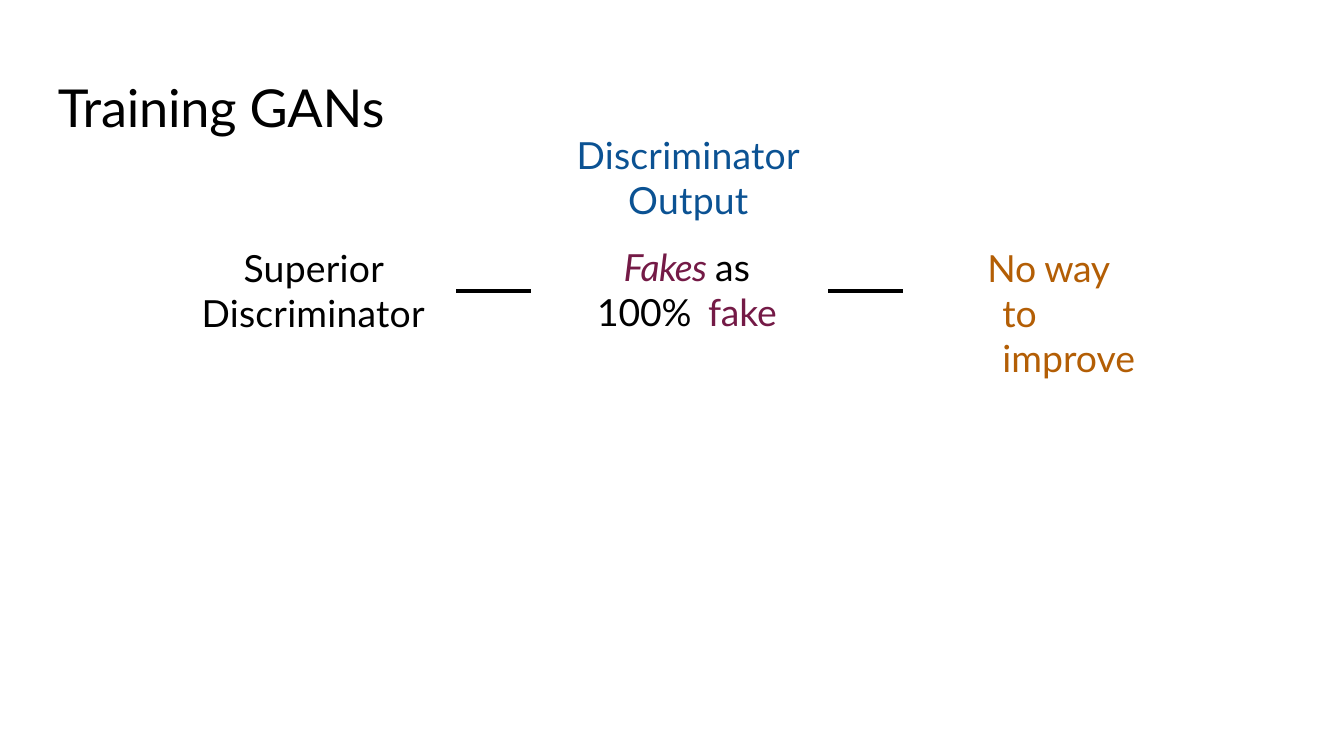
from lxml.etree import SubElement
from pptx import Presentation
from pptx.dml.color import RGBColor
from pptx.enum.shapes import MSO_CONNECTOR as Connector
from pptx.enum.text import PP_ALIGN as Align
from pptx.oxml.ns import qn
from pptx.util import Pt

FONT = "Lato"
BLACK, BLUE, PLUM, ORANGE = "000000", "0B5293", "741A46", "B35E05"


def color(hex_value):
    return RGBColor.from_string(hex_value)


def add_box(slide, left, top, width, height):
    """Add a wrapping text frame with almost no insets."""
    frame = slide.shapes.add_textbox(Pt(left), Pt(top), Pt(width), Pt(height)).text_frame
    frame.word_wrap = True
    frame.margin_left = frame.margin_right = frame.margin_bottom = 0
    frame.margin_top = Pt(1)
    return frame


def format_paragraph(paragraph, align=Align.LEFT, margin=0.5, indent=0, before=1):
    paragraph.alignment = align
    paragraph.space_before = Pt(before)
    properties = paragraph._p.get_or_add_pPr()
    properties.set("marL", str(Pt(margin)))
    properties.set("indent", str(Pt(indent)))


def add_text(paragraph, text, size=20, fill=BLACK, italic=False, spacing=0.0):
    """Add text to a paragraph; each newline becomes a line break."""
    for number, line in enumerate(text.split("\n")):
        if number:
            paragraph.add_line_break()
        if not line:
            continue
        run = paragraph.add_run()
        run.text = line
        run.font.name = FONT
        run.font.size = Pt(size)
        run.font.italic = italic
        run.font.color.rgb = color(fill)
        run._r.get_or_add_rPr().set("spc", str(round(spacing * 100)))


def add_link(slide, left, y, length):
    link = slide.shapes.add_connector(
        Connector.STRAIGHT, Pt(left), Pt(y), Pt(left + length), Pt(y))
    link.line.color.rgb = color(BLACK)
    link.line.width = Pt(2.25)
    SubElement(link._element.spPr, qn("a:effectLst"))


def main():
    deck = Presentation()
    deck.slide_width, deck.slide_height = Pt(720), Pt(405)
    slide = deck.slides.add_slide(deck.slide_layouts[6])

    # Title
    title = add_box(slide, 30.5, 39.5, 179, 35).paragraphs[0]
    format_paragraph(title)
    add_text(title, "Training ", size=28, spacing=-0.1)
    add_text(title, "GANs", size=28)

    # Cause
    cause = add_box(slide, 107.5, 130.5, 123, 49.5).paragraphs[0]
    format_paragraph(cause, indent=22.5)
    add_text(cause, "Superior\nDiscriminator", spacing=0.1)

    # Discriminator output: heading and verdict
    output = add_box(slide, 305, 70, 125.5, 110)
    heading = output.paragraphs[0]
    format_paragraph(heading, align=Align.CENTER, margin=2)
    add_text(heading, "Discriminator\nOutput", fill=BLUE, spacing=0.1)

    verdict = output.add_paragraph()
    format_paragraph(verdict, align=Align.CENTER, before=12)
    add_text(verdict, "Fakes ", fill=PLUM, italic=True, spacing=-0.4)
    add_text(verdict, "as\n", spacing=0.1)
    add_text(verdict, "100%", spacing=-0.1)
    add_text(verdict, " ", spacing=3.8)  # wide gap before the label
    add_text(verdict, "fake", fill=PLUM, spacing=-0.1)

    # Consequence
    consequence = add_box(slide, 528.5, 130.5, 90, 49.5).paragraphs[0]
    format_paragraph(consequence, margin=8.5, indent=-8)
    add_text(consequence, "No way\n", fill=ORANGE, spacing=-0.2)
    add_text(consequence, "to\nimprove", fill=ORANGE)

    # Links between the three steps
    for left in (244.5, 443.75):
        add_link(slide, left, 156, 40)

    deck.save("out.pptx")


if __name__ == "__main__":
    main()
